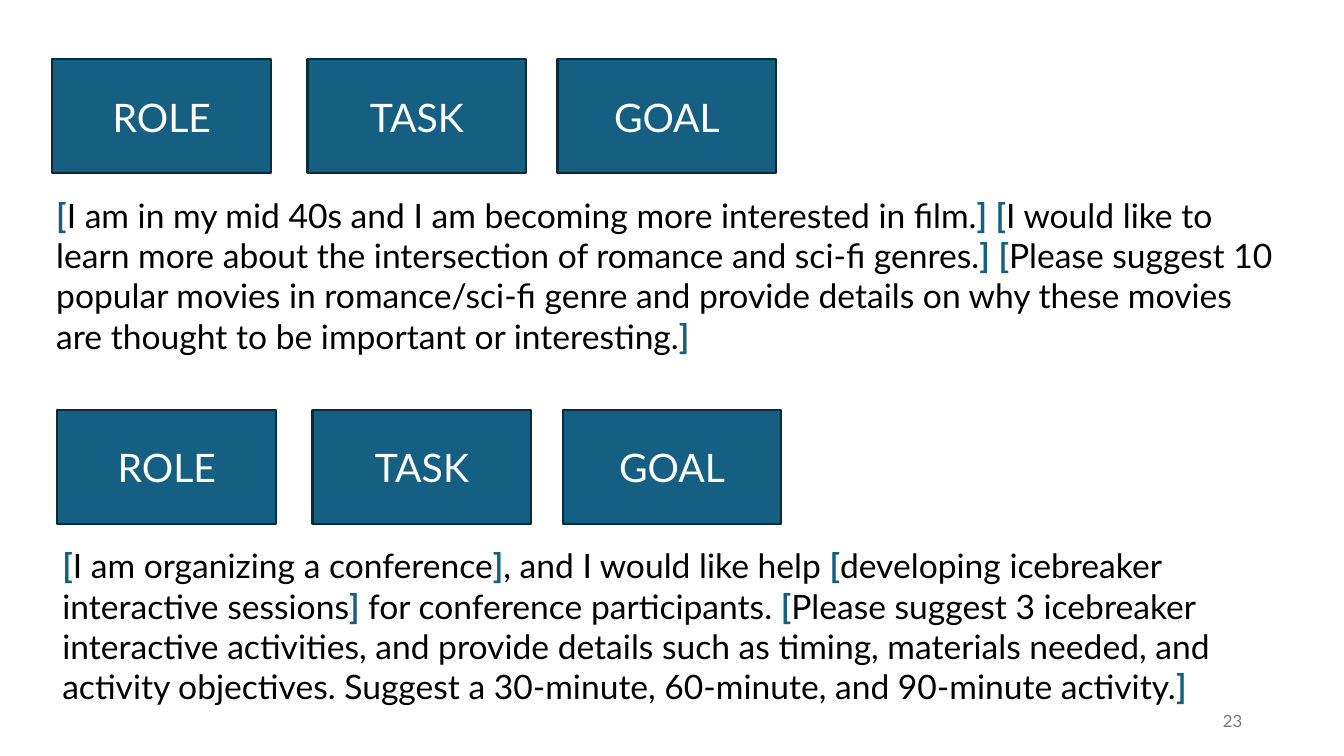
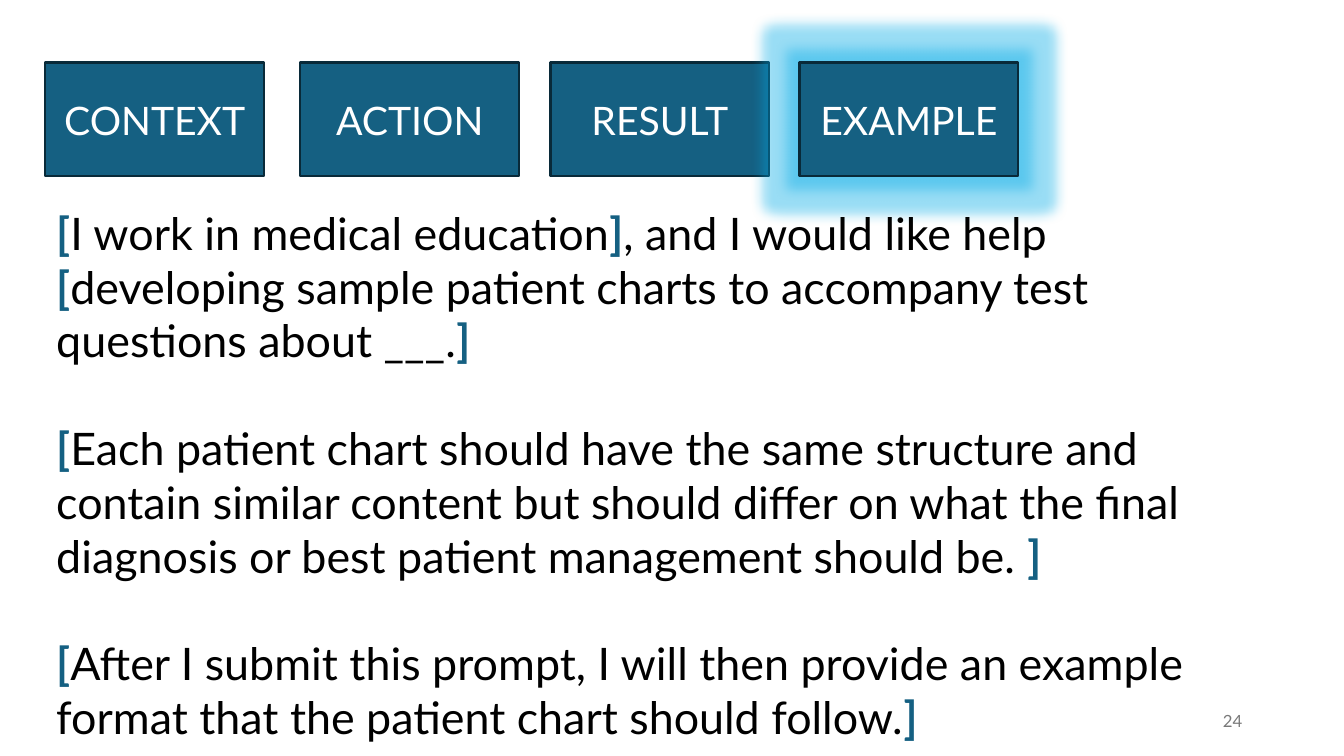
"""Build two slides that break sample prompts into labelled parts."""
from itertools import groupby

from lxml import etree
from pptx import Presentation
from pptx import util as u
from pptx.dml.color import RGBColor
from pptx.enum import shapes, text
from pptx.oxml.ns import qn

FONT = "Lato"
BLUE, EDGE, GLOW = "156082", "092A39", "02AAE6"
WHITE, BLACK, GREY = "FFFFFF", "000000", "797979"
LABEL_OFFSETS = (0, 2.53, 5.01, 7.48)
LABEL_SIZE = (2.17, 1.13)

SLIDES = [
    {"number": "23", "prompts": [
        {"labels": ["ROLE", "TASK", "GOAL"], "labels_at": (0.52, 0.59),
         "text_box": (0.46, 1.88, 12.3, 1.72), "size": 24,
         "paragraphs": [
             "[I am in my mid 40s and I am becoming more interested in film.] "
             "[I would like to learn more about the intersection of romance and sci-fi genres.] "
             "[Please suggest 10 popular movies in romance/sci-fi genre and provide details "
             "on why these movies are thought to be important or interesting.]"]},
        {"labels": ["ROLE", "TASK", "GOAL"], "labels_at": (0.57, 4.07),
         "text_box": (0.52, 5.36, 12.3, 1.72), "size": 24,
         "paragraphs": [
             "[I am organizing a conference], and I would like help "
             "[developing icebreaker interactive sessions] for conference participants. "
             "[Please suggest 3 icebreaker interactive activities, and provide details such as "
             "timing, materials needed, and activity objectives. Suggest a 30-minute, 60-minute, "
             "and 90-minute activity.]"]},
    ]},
    {"number": "24", "prompts": [
        {"labels": ["CONTEXT", "ACTION", "RESULT", "EXAMPLE"], "labels_at": (0.45, 0.62),
         "glowing": "EXAMPLE", "text_box": (0.46, 1.99, 12.3, 4.95), "size": 32,
         "paragraphs": [
             "[I work in medical education], and I would like help "
             "[developing sample patient charts to accompany test questions about ___.]",
             "[Each patient chart should have the same structure and contain similar content but "
             "should differ on what the final diagnosis or best patient management should be. ]",
             "[After I submit this prompt, I will then provide an example format "
             "that the patient chart should follow.]"]},
    ]},
]


def color(value):
    """Turn a hex string into a colour."""
    return RGBColor.from_string(value)


def add_run(paragraph, words, size, hex_color, bold=False):
    """Add one formatted run to a paragraph."""
    run = paragraph.add_run()
    run.text = words
    run.font.name, run.font.size, run.font.bold = FONT, u.Pt(size), bold
    run.font.color.rgb = color(hex_color)


def add_text_frame(slide, box):
    """Add a wrapping text box and return its frame."""
    frame = slide.shapes.add_textbox(*map(u.Inches, box)).text_frame
    frame.word_wrap = True
    return frame


def add_glow(shape):
    """Surround a shape with a translucent glow."""
    effects = shape._element.spPr.find(qn("a:effectLst"))
    glow = etree.SubElement(effects, qn("a:glow"), rad=str(u.Pt(18)))
    tint = etree.SubElement(glow, qn("a:srgbClr"), val=GLOW)
    etree.SubElement(tint, qn("a:alpha"), val="40000")


def add_label(slide, words, left, top):
    """Add one blue label box."""
    shape = slide.shapes.add_shape(
        shapes.MSO_SHAPE.RECTANGLE, *map(u.Inches, (left, top, *LABEL_SIZE)))
    shape.shadow.inherit = False
    shape.fill.solid()
    shape.fill.fore_color.rgb = color(BLUE)
    shape.line.color.rgb = color(EDGE)
    shape.line.width = u.Pt(1.5)
    shape.text_frame.vertical_anchor = text.MSO_ANCHOR.MIDDLE
    paragraph = shape.text_frame.paragraphs[0]
    paragraph.alignment = text.PP_ALIGN.CENTER
    add_run(paragraph, words, 28, WHITE)
    return shape


def add_prompt(slide, prompt):
    """Add a row of labels and the prompt text with coloured brackets."""
    left, top = prompt["labels_at"]
    for words, offset in zip(prompt["labels"], LABEL_OFFSETS):
        label = add_label(slide, words, left + offset, top)
        if words == prompt.get("glowing"):
            add_glow(label)
    frame = add_text_frame(slide, prompt["text_box"])
    frame.auto_size = text.MSO_AUTO_SIZE.SHAPE_TO_FIT_TEXT
    size = prompt["size"]
    for index, content in enumerate(prompt["paragraphs"]):
        paragraph = frame.add_paragraph() if index else frame.paragraphs[0]
        if index:
            paragraph.space_before = u.Pt(size * 1.2)
        for is_bracket, letters in groupby(content, key=lambda letter: letter in "[]"):
            add_run(paragraph, "".join(letters), size, BLUE if is_bracket else BLACK, is_bracket)


def add_slide_number(slide, number):
    """Add the page number at the lower right."""
    frame = add_text_frame(slide, (9.42, 6.95, 3, 0.4))
    frame.vertical_anchor = text.MSO_ANCHOR.MIDDLE
    paragraph = frame.paragraphs[0]
    paragraph.alignment = text.PP_ALIGN.RIGHT
    add_run(paragraph, number, 12, GREY)


def main():
    """Build and save the presentation."""
    presentation = Presentation()
    presentation.slide_width, presentation.slide_height = u.Inches(13.33), u.Inches(7.5)
    for content in SLIDES:
        slide = presentation.slides.add_slide(presentation.slide_layouts[6])
        add_slide_number(slide, content["number"])
        for prompt in content["prompts"]:
            add_prompt(slide, prompt)
    presentation.save("out.pptx")


if __name__ == "__main__":
    main()
